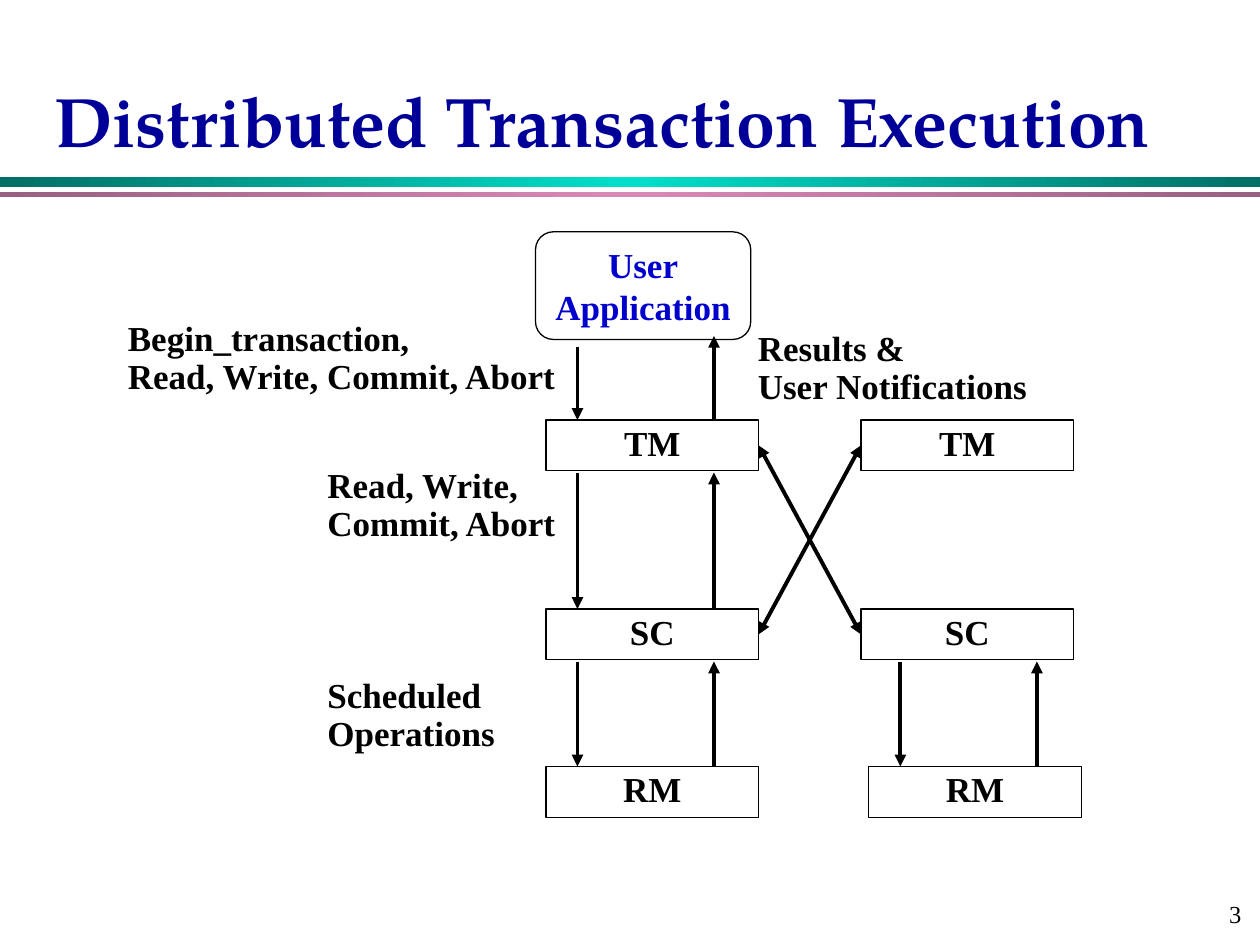
"""Build the Distributed Transaction Execution slide."""
from lxml.etree import SubElement
from pptx import Presentation
from pptx.dml.color import RGBColor
from pptx.enum.shapes import MSO_CONNECTOR, MSO_SHAPE as Shape
from pptx.enum.text import MSO_ANCHOR as Anchor, PP_ALIGN as Align
from pptx.oxml.ns import qn
from pptx.util import Pt

BLACK = RGBColor(0x00, 0x00, 0x00)
NAVY = RGBColor(0x00, 0x00, 0x99)
BLUE = RGBColor(0x00, 0x00, 0xCC)
DARK_TEAL = RGBColor(0x00, 0x6F, 0x65)
TEAL = RGBColor(0x00, 0xDF, 0xCA)
DARK_PINK = RGBColor(0x97, 0x60, 0x80)
PINK = RGBColor(0xD9, 0x89, 0xB8)
SERIF = "Times New Roman"

presentation = Presentation()
presentation.slide_width, presentation.slide_height = Pt(720), Pt(540)
slide = presentation.slides.add_slide(presentation.slide_layouts[6])
shapes = slide.shapes


def write(shape, lines, size=20, color=BLACK, bold=True, font=SERIF,
          align=Align.LEFT, anchor=Anchor.TOP, spacing=0.9, wrap=True):
    frame = shape.text_frame
    frame.word_wrap = wrap
    frame.vertical_anchor = anchor
    frame.text = "\n".join(lines)
    for paragraph in frame.paragraphs:
        paragraph.alignment = align
        paragraph.line_spacing = spacing
        paragraph.font.name = font
        paragraph.font.size = Pt(size)
        paragraph.font.bold = bold
        paragraph.font.color.rgb = color


def add_arrow(x1, y1, x2, y2, both=False):
    arrow = shapes.add_connector(MSO_CONNECTOR.STRAIGHT, Pt(x1), Pt(y1), Pt(x2), Pt(y2))
    arrow.line.color.rgb = BLACK
    arrow.line.width = Pt(2.25)
    line = arrow.line._get_or_add_ln()
    for end in ("a:headEnd", "a:tailEnd") if both else ("a:tailEnd",):
        SubElement(line, qn(end), type="triangle")
    SubElement(arrow._element.spPr, qn("a:effectLst"))
    return arrow


for top, height, edge, middle in ((101, 5.75, DARK_TEAL, TEAL), (109.5, 3, DARK_PINK, PINK)):
    for left, start, finish in ((0, edge, middle), (360, middle, edge)):
        band = shapes.add_shape(Shape.RECTANGLE, Pt(left), Pt(top), Pt(360), Pt(height))
        band.shadow.inherit = False
        band.line.fill.background()
        band.fill.gradient()
        band.fill.gradient_angle = 0
        for stop, position, color in zip(band.fill.gradient_stops, (0, 1), (start, finish)):
            stop.position = position
            stop.color.rgb = color

title = shapes.add_textbox(Pt(24), Pt(30), Pt(660), Pt(66))
write(title, ["Distributed Transaction Execution"], 40, NAVY, font="TeX Gyre Pagella",
      anchor=Anchor.BOTTOM, spacing=1)
number = shapes.add_textbox(Pt(570), Pt(504), Pt(150), Pt(36))
write(number, ["3 "], 14, bold=False, align=Align.RIGHT, anchor=Anchor.MIDDLE,
      spacing=1, wrap=False)

nodes = {}
for key, kind, left, top, width, height, lines, color in (
    ("User", Shape.ROUNDED_RECTANGLE, 306, 132.5, 123, 61.5, ["User", "Application"], BLUE),
    ("TM left", Shape.RECTANGLE, 312, 240, 121.5, 29, ["TM"], BLACK),
    ("SC left", Shape.RECTANGLE, 312, 348, 121.5, 29, ["SC"], BLACK),
    ("RM left", Shape.RECTANGLE, 312, 438, 121.5, 29, ["RM"], BLACK),
    ("TM right", Shape.RECTANGLE, 492, 240, 121.5, 29, ["TM"], BLACK),
    ("SC right", Shape.RECTANGLE, 492, 348, 121.5, 29, ["SC"], BLACK),
    ("RM right", Shape.RECTANGLE, 496.5, 438, 121.5, 29, ["RM"], BLACK),
):
    node = shapes.add_shape(kind, Pt(left), Pt(top), Pt(width), Pt(height))
    node.shadow.inherit = False
    node.fill.background()
    node.line.color.rgb = BLACK
    node.line.width = Pt(0.75)
    rounded = kind == Shape.ROUNDED_RECTANGLE
    write(node, lines, color=color, align=Align.CENTER,
          anchor=Anchor.MIDDLE if rounded else Anchor.TOP, spacing=1 if rounded else 0.9)
    nodes[key] = node

for left, top, width, lines in (
    (66, 180, 270, ["Begin_transaction,", "Read, Write, Commit, Abort"]),
    (180, 264, 168, ["Read, Write,", "Commit, Abort"]),
    (180, 384, 138, ["Scheduled Operations"]),
    (426, 186, 186, ["Results &", "User Notifications"]),
):
    label = shapes.add_textbox(Pt(left), Pt(top), Pt(width), Pt(50.5))
    write(label, lines)

for down_x, up_x, down_top, up_top, bottom in (
    (330, 408, 198, 192, 240),
    (330, 408, 270, 270, 348),
    (330, 408, 378, 378, 438),
    (514.5, 592.5, 378, 378, 438),
):
    add_arrow(down_x, down_top, down_x, bottom)
    add_arrow(up_x, bottom, up_x, up_top)

for start, finish in (("SC left", "TM right"), ("TM left", "SC right")):
    crossing = add_arrow(0, 0, 0, 0, both=True)
    crossing.begin_connect(nodes[start], 3)
    crossing.end_connect(nodes[finish], 1)

presentation.save("out.pptx")
